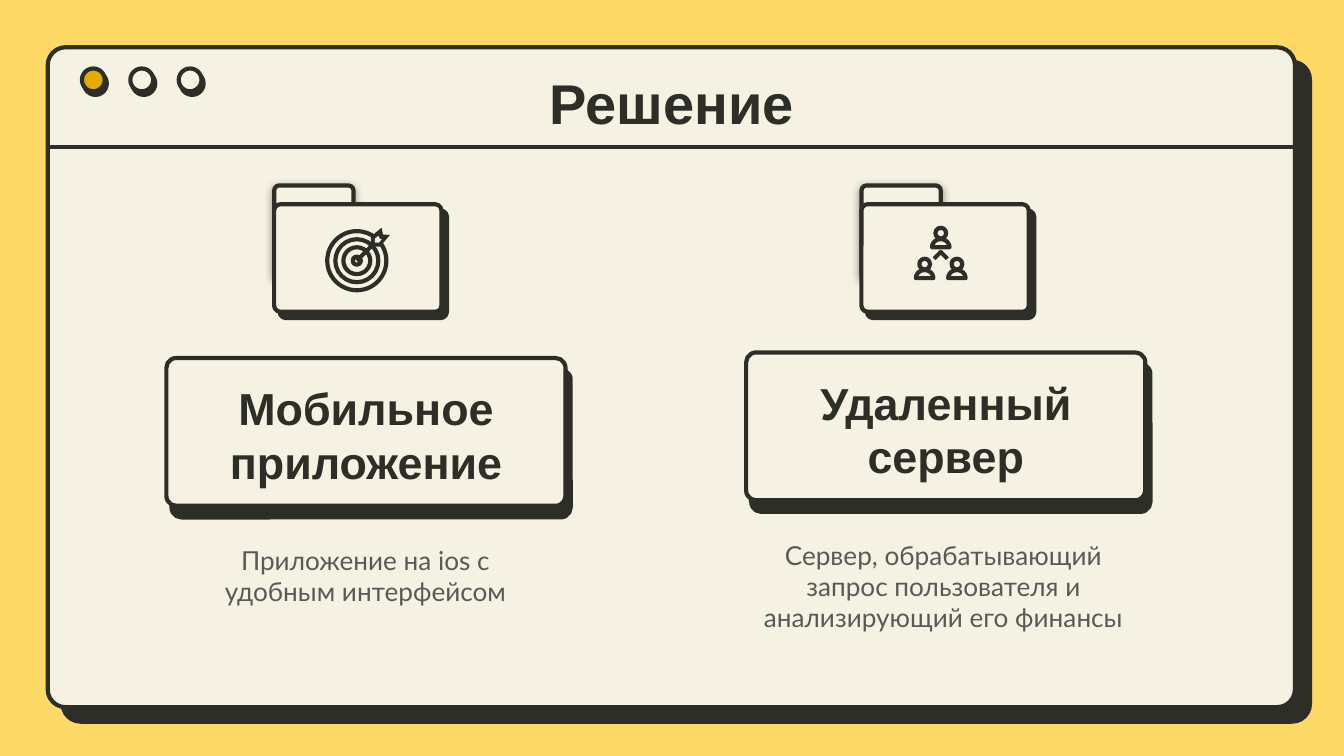
from dataclasses import dataclass
from math import cos, pi, sin

from lxml.etree import SubElement
from pptx import Presentation
from pptx.dml.color import RGBColor
from pptx.enum.shapes import MSO_CONNECTOR, MSO_SHAPE
from pptx.enum.text import MSO_ANCHOR, MSO_AUTO_SIZE, PP_ALIGN
from pptx.oxml.ns import qn
from pptx.util import Inches, Pt


@dataclass(frozen=True)
class Theme:
    """Colours, fonts and type sizes of the deck."""
    background: str = "FFD966"
    paper: str = "F6F2E3"
    ink: str = "2D2E27"
    accent: str = "E4AB00"
    muted: str = "595959"
    heading_font: str = "Arial"
    body_font: str = "Lato"
    title_size: float = 30
    heading_size: float = 24
    body_size: float = 14
    outline: float = 2.25


class WindowSlide:
    """Draws on one slide with a grid of 100 columns of a tenth of an inch."""

    def __init__(self, presentation, theme):
        self.theme = theme
        self.cell = presentation.slide_width / 100
        self.slide = presentation.slides.add_slide(presentation.slide_layouts[4])
        self.shapes = self.slide.shapes
        self.slide.background.fill.solid()
        self.slide.background.fill.fore_color.rgb = RGBColor.from_string(theme.background)

    def grid(self, *cells):
        """Turn grid cells into slide lengths."""
        return [round(cell * self.cell) for cell in cells]

    def paint(self, shape, fill=None, line=True):
        """Set fill and outline, and drop the default shadow."""
        shape.shadow.inherit = False
        if fill:
            shape.fill.solid()
            shape.fill.fore_color.rgb = RGBColor.from_string(fill)
        else:
            shape.fill.background()
        if line:
            shape.line.color.rgb = RGBColor.from_string(self.theme.ink)
            shape.line.width = Pt(self.theme.outline)
        else:
            shape.line.fill.background()
        return shape

    def cast_shadow(self, shape, distance, angle, blur=0, opacity=100):
        """Give a shape an offset shadow in the ink colour."""
        effects = shape._element.spPr.find(qn("a:effectLst"))
        shadow = SubElement(effects, qn("a:outerShdw"), blurRad=str(Pt(blur)), dist=str(Pt(distance)),
                            dir=str(angle * 60000), algn="bl", rotWithShape="0")
        colour = SubElement(shadow, qn("a:srgbClr"), val=self.theme.ink)
        SubElement(colour, qn("a:alpha"), val=str(opacity * 1000))

    def panel(self, box, rounding, *shadow):
        """Add a rounded paper panel."""
        shape = self.shapes.add_shape(MSO_SHAPE.ROUNDED_RECTANGLE, *self.grid(*box))
        shape.adjustments[0] = rounding
        self.cast_shadow(self.paint(shape, self.theme.paper), *shadow)

    def circle(self, x, y, radius, fill=None):
        """Add an outlined circle around a centre."""
        box = self.grid(x - radius, y - radius, 2 * radius, 2 * radius)
        return self.paint(self.shapes.add_shape(MSO_SHAPE.OVAL, *box), fill)

    def line(self, *ends):
        """Add a straight ink line."""
        connector = self.shapes.add_connector(MSO_CONNECTOR.STRAIGHT, *self.grid(*ends))
        connector.line.color.rgb = RGBColor.from_string(self.theme.ink)
        connector.line.width = Pt(self.theme.outline)
        SubElement(connector._element.spPr, qn("a:effectLst"))

    def outline(self, points, closed=True, fill=None, line=True):
        """Add a freeform through grid points."""
        start, *others = [self.grid(*point) for point in points]
        builder = self.shapes.build_freeform(*start)
        builder.add_line_segments(others, close=closed)
        return self.paint(builder.convert_to_shape(), fill, line)

    def text(self, index, words, box, size, font, colour, bold=False, anchor=MSO_ANCHOR.TOP):
        """Place and format a placeholder in front of what is drawn."""
        shape = self.slide.placeholders[index]
        shape.left, shape.top, shape.width, shape.height = self.grid(*box)
        self.shapes._spTree.append(shape._element)
        frame = shape.text_frame
        frame.text = words
        frame.word_wrap = True
        frame.auto_size = MSO_AUTO_SIZE.NONE
        frame.vertical_anchor = anchor
        frame.margin_left = frame.margin_right = frame.margin_top = frame.margin_bottom = Inches(0.1)
        paragraph = frame.paragraphs[0]
        paragraph.alignment = PP_ALIGN.CENTER
        paragraph.space_before = Pt(0)
        paragraph.line_spacing = 1.0
        paragraph.font.size = Pt(size)
        paragraph.font.name = font
        paragraph.font.bold = bold
        paragraph.font.color.rgb = RGBColor.from_string(colour)
        properties = paragraph._p.get_or_add_pPr()
        properties.set("marL", "0")
        properties.set("indent", "0")
        properties.insert_element_before(
            properties.makeelement(qn("a:buNone")), "a:tabLst", "a:defRPr", "a:extLst")

    def window(self, title):
        """Draw the browser window with its buttons and title."""
        self.panel((3.55, 3.52, 92.8, 49.1), 0.027, 11.2, 44)
        self.line(96.4, 10.94, 3.6, 10.94)
        for number, fill in enumerate((self.theme.accent, self.theme.paper, self.theme.paper)):
            self.cast_shadow(self.circle(6.95 + 3.6 * number, 5.95, 0.85, fill), 2.2, 60)
        self.text(0, title, (7.85, 5.8, 84.3, 5.3), self.theme.title_size,
                  self.theme.heading_font, self.theme.ink, True, MSO_ANCHOR.BOTTOM)

    def folder(self, left):
        """Draw a folder with its tab."""
        self.panel((left, 13.8, 5.9, 6.9), 0.063, 1.5, 90, 4.5, 50)
        self.panel((left, 15.2, 12.45, 8), 0.058, 4.5, 49)

    def card(self, index, left, top, heading, description, description_box):
        """Draw a heading card with the description below it."""
        self.panel((left, top, 29.7, 11), 0.067, 6.8, 66)
        self.text(index, heading, (left + 3.4, top + 0.7, 22.9, 6.1), self.theme.heading_size,
                  self.theme.heading_font, self.theme.ink, True)
        self.text(index + 1, description, description_box, self.theme.body_size,
                  self.theme.body_font, self.theme.muted)

    def target(self, x, y):
        """Draw a target hit by a dart."""
        for radius in (2.2, 1.6, 1, 0.3):
            self.circle(x, y, radius)
        self.line(x, y, x + 1.7, y - 1.7)
        feathers = ((1.05, -1.05), (1.05, -1.8), (1.85, -2.45), (1.95, -1.95), (2.45, -1.9), (1.75, -1.05))
        self.outline([(x + right, y + down) for right, down in feathers], fill=self.theme.ink, line=False)
        notch = ((1.35, -1.35), (1.35, -1.65), (1.6, -1.85), (1.7, -1.65), (1.85, -1.6), (1.65, -1.35))
        self.outline([(x + right, y + down) for right, down in notch], fill=self.theme.paper, line=False)

    def person(self, x, y):
        """Draw a head above rounded shoulders."""
        self.circle(x, y, 0.4)
        angles = [pi * step / 12 for step in range(13)]
        self.outline([(x + 0.65 * cos(angle), y + 1.05 - 0.6 * sin(angle)) for angle in angles])

    def team(self, x, y):
        """Draw three people joined by a chevron."""
        for right, down in ((0, 0), (-1.2, 2.3), (1.2, 2.3)):
            self.person(x + right, y + down)
        self.outline([(x - 0.5, y + 1.9), (x, y + 1.4), (x + 0.5, y + 1.9)], closed=False)


def main():
    """Build the solution slide."""
    presentation = Presentation()
    presentation.slide_width = Inches(10)
    presentation.slide_height = presentation.slide_width * 9 // 16
    slide = WindowSlide(presentation, Theme())
    slide.window("Решение")
    slide.card(1, 12.38, 26.64, "Мобильное приложение",
               "Приложение на ios с удобным интерфейсом", (14.3, 39.5, 25.8, 8.3))
    slide.folder(20.4)
    slide.target(26.55, 19.4)
    slide.card(3, 55.52, 26.23, "Удаленный сервер",
               "Сервер, обрабатывающий запрос пользователя и анализирующий его финансы",
               (55.2, 39.1, 30, 8.3))
    slide.folder(64.1)
    slide.team(70, 17.35)
    presentation.save("out.pptx")


if __name__ == "__main__":
    main()
